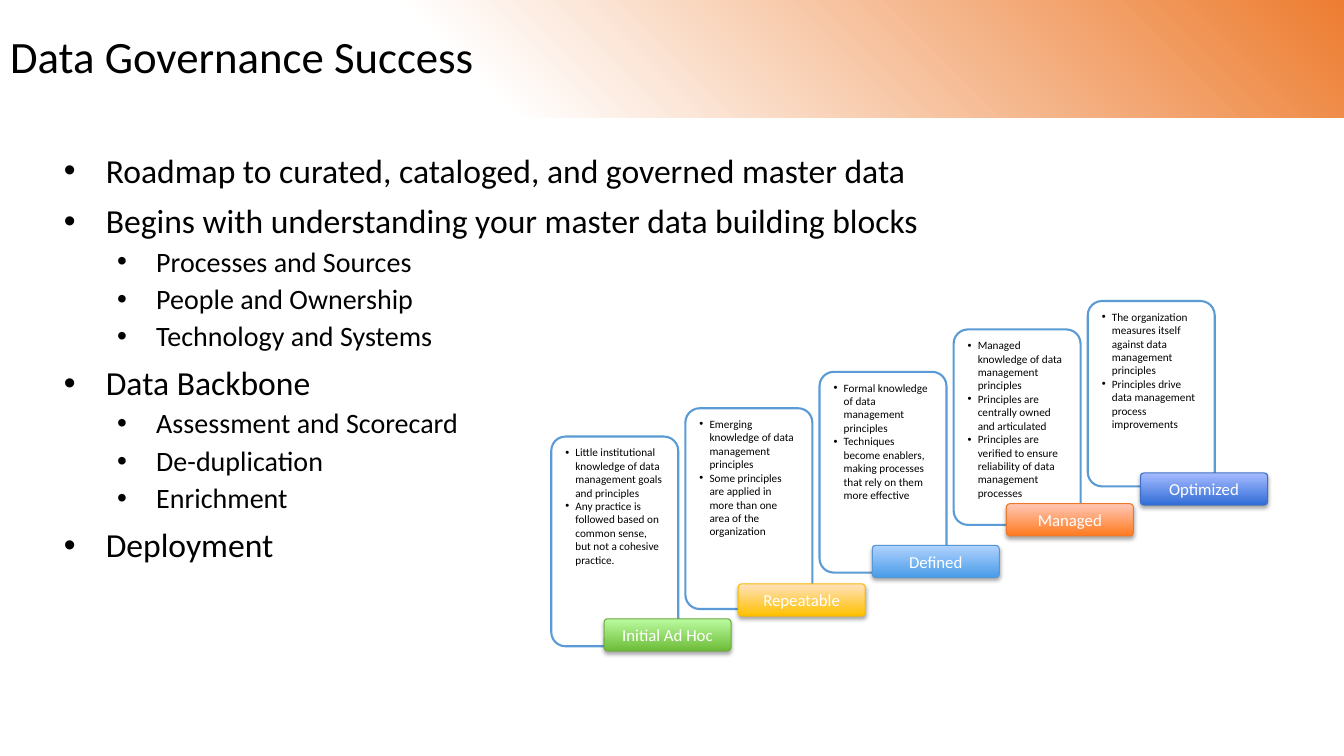
from dataclasses import dataclass

import pptx
import pptx.dml.color
import pptx.enum.shapes
import pptx.enum.text
import pptx.oxml
import pptx.oxml.ns
import pptx.util

Pt = pptx.util.Pt
ALIGN = pptx.enum.text.PP_ALIGN
ANCHOR = pptx.enum.text.MSO_ANCHOR
SHAPE = pptx.enum.shapes.MSO_SHAPE
NS = pptx.oxml.ns.nsdecls("a")

BLACK, WHITE, BLUE = "000000", "FFFFFF", "5B9BD5"
LEFT, STEP, WIDTH = 393.8, 95.8, 90.7
SHIFT, TAG_HIGH, ROUND = 37.7, 23, 0.112


@dataclass
class Level:
    """Look of one list level, in points."""
    size: float
    left: float
    hang: float
    gap: float = 0
    lines: float = 1


@dataclass
class Stage:
    name: str
    top: float
    high: float
    tag_top: float
    dark: str
    light: str
    edge: str
    notes: list[str]


HEAD = Level(24, 36, 30, 10, 0.9)
SUB = Level(20, 72, 28, 5, 0.9)
NOTE = Level(8, 7.2, 7.2)

POINTS = [
    (HEAD, "Roadmap to curated, cataloged, and governed master data"),
    (HEAD, "Begins with understanding your master data building blocks"),
    (SUB, "Processes and Sources"),
    (SUB, "People and Ownership"),
    (SUB, "Technology and Systems"),
    (HEAD, "Data Backbone"),
    (SUB, "Assessment and Scorecard"),
    (SUB, "De-duplication"),
    (SUB, "Enrichment"),
    (HEAD, "Deployment"),
]

STAGES = [
    Stage("Initial Ad Hoc", 311.8, 149.8, 442, "6DBC38", "BBFCA0", "6DAC43", [
        "Little institutional knowledge of data management goals and principles",
        "Any practice is followed based on common sense, but not a cohesive practice."]),
    Stage("Repeatable", 291.6, 143.4, 417, "FFC000", "FFE2BD", "F9BC00", [
        "Emerging knowledge of data management principles",
        "Some principles are applied in more than one area of the organization"]),
    Stage("Defined", 265.6, 143.4, 389.6, "499CE7", "B0D2FF", "5698D3", [
        "Formal knowledge of data management principles",
        "Techniques become enablers, making processes that rely on them more effective"]),
    Stage("Managed", 235.3, 139.6, 359.8, "FF7A1F", "FFC7B6", "EC792B", [
        "Managed knowledge of data management principles",
        "Principles are centrally owned and articulated",
        "Principles are verified to ensure reliability of data management processes"]),
    Stage("Optimized", 215, 132.4, 337.8, "316DD7", "A6BBFF", "3F6FC3", [
        "The organization measures itself against data management principles",
        "Principles drive data management process improvements"]),
]


def paint(color, code: str) -> None:
    color.rgb = pptx.dml.color.RGBColor.from_string(code)


def place(shape, left: float, top: float, width: float, high: float) -> None:
    shape.left, shape.top = Pt(left), Pt(top)
    shape.width, shape.height = Pt(width), Pt(high)


def write(para, text: str, size: float, code: str) -> None:
    run = para.add_run()
    run.text = text
    run.font.name = "Calibri"
    run.font.size = Pt(size)
    paint(run.font.color, code)


def fill_list(frame, items: list[tuple[Level, str]]) -> None:
    frame.word_wrap = True
    frame.auto_size = pptx.enum.text.MSO_AUTO_SIZE.NONE
    frame.vertical_anchor = ANCHOR.TOP
    for i, (level, text) in enumerate(items):
        para = frame.add_paragraph() if i else frame.paragraphs[0]
        props = para._p.get_or_add_pPr()
        props.set("marL", str(Pt(level.left)))
        props.set("indent", str(-Pt(level.hang)))
        for part in (f'<a:buClr {NS}><a:srgbClr val="{BLACK}"/></a:buClr>',
                     f'<a:buFont {NS} typeface="Arial"/>',
                     f'<a:buChar {NS} char="•"/>'):
            props.append(pptx.oxml.parse_xml(part))
        para.level = 1 if level is SUB else 0
        para.alignment = ALIGN.LEFT
        para.line_spacing = level.lines
        para.space_before = Pt(level.gap if i else 0)
        write(para, text, level.size, BLACK)


def add_band(slide) -> None:
    """Put the banner with its radial fade behind all else."""
    band = slide.shapes.add_shape(SHAPE.RECTANGLE, 0, 0, Pt(960), Pt(84.2))
    band.shadow.inherit = False
    band.line.fill.background()
    band.fill.background()
    stops = "".join(
        f'<a:gs pos="{spot * 1000}"><a:srgbClr val="{code}"/></a:gs>'
        for spot, code in ((0, WHITE), (35, WHITE), (100, "ED7D31")))
    fade = pptx.oxml.parse_xml(
        f'<a:gradFill {NS} rotWithShape="1"><a:gsLst>{stops}</a:gsLst>'
        '<a:path path="circle"><a:fillToRect t="100000" r="100000"/></a:path>'
        '</a:gradFill>')
    props = band._element.spPr
    props.replace(props.find(pptx.oxml.ns.qn("a:noFill")), fade)
    slide.shapes._spTree.insert(2, band._element)


def add_box(group, left: float, top: float, high: float, edge: str, line: float):
    box = group.shapes.add_shape(
        SHAPE.ROUNDED_RECTANGLE, Pt(left), Pt(top), Pt(WIDTH), Pt(high))
    box.adjustments[0] = ROUND
    box.shadow.inherit = False
    paint(box.line.color, edge)
    box.line.width = Pt(line)
    return box


def add_card(group, stage: Stage, left: float) -> None:
    card = add_box(group, left, stage.top, stage.high, BLUE, 1.5)
    card.fill.solid()
    paint(card.fill.fore_color, WHITE)
    fill_list(card.text_frame, [(NOTE, note) for note in stage.notes])


def add_tag(group, stage: Stage, left: float) -> None:
    tag = add_box(group, left + SHIFT, stage.tag_top, TAG_HIGH, stage.edge, 0.75)
    tag.fill.gradient()
    tag.fill.gradient_angle = 90
    for stop, code in zip(tag.fill.gradient_stops, (stage.dark, stage.light)):
        paint(stop.color, code)
    glow = tag._element.spPr.find(pptx.oxml.ns.qn("a:effectLst"))
    glow.append(pptx.oxml.parse_xml(
        f'<a:outerShdw {NS} blurRad="{Pt(3.1)}" dist="{Pt(1.8)}" dir="5400000" '
        f'rotWithShape="0"><a:srgbClr val="{BLACK}"><a:alpha val="35000"/>'
        '</a:srgbClr></a:outerShdw>'))
    frame = tag.text_frame
    frame.word_wrap = True
    frame.vertical_anchor = ANCHOR.MIDDLE
    frame.margin_left = frame.margin_right = Pt(3.6)
    frame.margin_top = frame.margin_bottom = 0
    para = frame.paragraphs[0]
    para.alignment = ALIGN.CENTER
    write(para, stage.name, 12, WHITE)


def main() -> None:
    deck = pptx.Presentation()
    deck.slide_width, deck.slide_height = Pt(960), Pt(540)
    slide = deck.slides.add_slide(deck.slide_layouts[1])
    add_band(slide)

    title, body = slide.placeholders
    place(title, 0, 0, 761, 84.2)
    title.text_frame.vertical_anchor = ANCHOR.MIDDLE
    para = title.text_frame.paragraphs[0]
    para.alignment = ALIGN.LEFT
    para.line_spacing = 0.9
    write(para, "Data Governance Success", 32, BLACK)

    place(body, 32.4, 106.6, 671.8, 376.6)
    fill_list(body.text_frame, POINTS)

    group = slide.shapes.add_group_shape()
    for draw in (add_card, add_tag):
        for i, stage in enumerate(STAGES):
            draw(group, stage, LEFT + i * STEP)

    deck.save("out.pptx")


if __name__ == "__main__":
    main()
